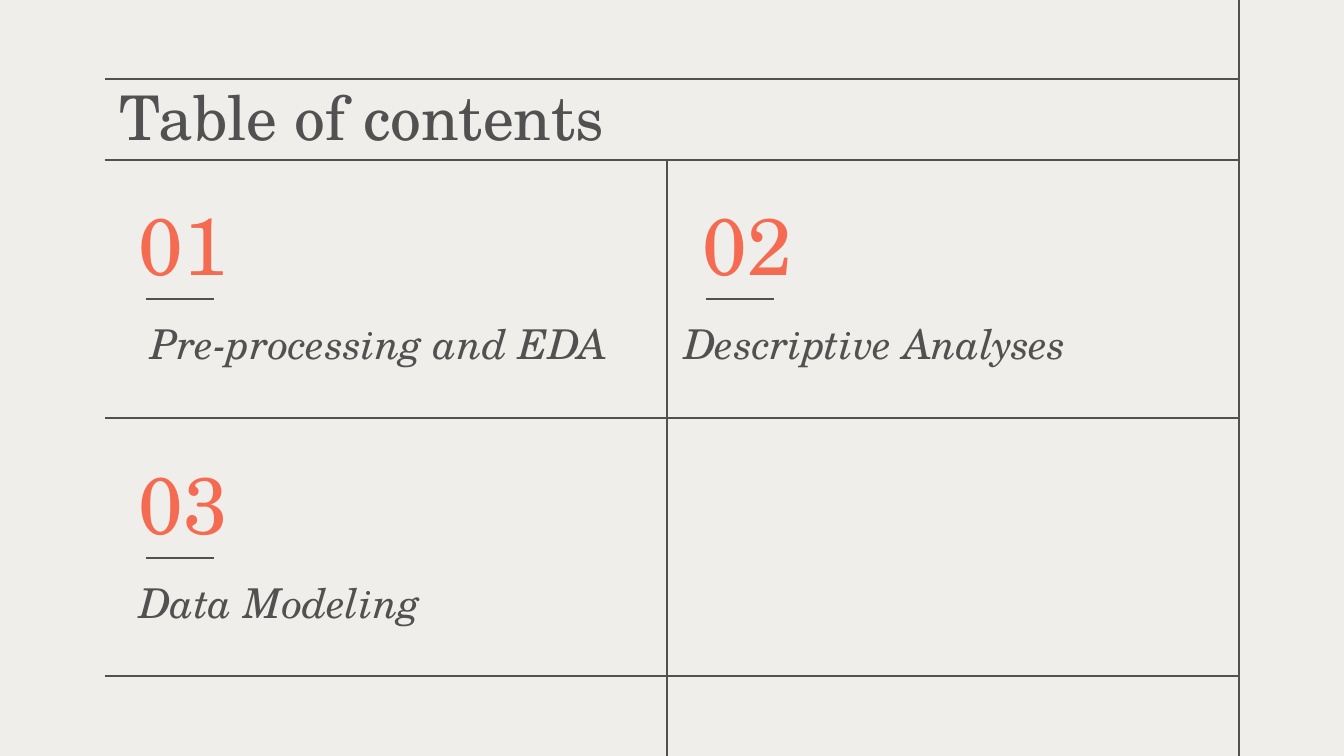
from pptx import Presentation
from pptx import util as u
from pptx.dml import color
from pptx.enum import shapes, text
from pptx.oxml import ns, xmlchemy

FONT = "TeX Gyre Schola"
INK, CORAL, PAPER = "525151", "F46B52", "F0EEEA"
LEFT, MIDDLE, RIGHT = 105, 667, 1239
ROW_STEP = 259
INSET = 13


def px(n):
    """Turn whole pixels into EMU."""
    return u.Emu(round(n * 914400 / 134.4))


def rgb(value):
    """Turn a hex string into a colour."""
    return color.RGBColor.from_string(value)


def write(sp, content, size, ink=INK, italic=False, anchor="MIDDLE", top=INSET):
    """Put one formatted, left-aligned paragraph into a shape."""
    tf = sp.text_frame
    tf.word_wrap = True
    tf.auto_size = text.MSO_AUTO_SIZE.NONE
    tf.vertical_anchor = text.MSO_ANCHOR[anchor]
    tf.margin_left = tf.margin_right = tf.margin_bottom = px(INSET)
    tf.margin_top = px(top)
    p = tf.paragraphs[0]
    p.alignment = text.PP_ALIGN.LEFT
    r = p.add_run()
    r.text = content
    f = r.font
    f.name, f.size, f.italic = FONT, u.Pt(size), italic
    f.color.rgb = rgb(ink)


def add_title(s, content, x, y, w, h):
    """Place and fill the title placeholder."""
    sp = s.shapes.title
    sp.left, sp.top, sp.width, sp.height = map(px, (x, y, w, h))
    write(sp, content, 33, anchor="TOP", top=0)


def add_text(s, content, x, y, w, h, **fmt):
    """Add a text box with formatted text."""
    write(s.shapes.add_textbox(*map(px, (x, y, w, h))), content, **fmt)


def add_line(s, x1, y1, x2, y2):
    """Add a thin rule without a shadow."""
    ln = s.shapes.add_connector(shapes.MSO_CONNECTOR.STRAIGHT, *map(px, (x1, y1, x2, y2)))
    ln.line.color.rgb = rgb(INK)
    ln.line.width = u.Pt(0.75)
    ln._element.spPr.append(xmlchemy.OxmlElement("a:effectLst"))


def add_entry(s, row, number, label, number_x, rule_x, label_x):
    """Add a number, its short rule and its label in one grid row."""
    y = row * ROW_STEP
    add_text(s, number, number_x, 208 + y, 187, 71, size=43, ink=CORAL)
    add_line(s, rule_x, 299 + y, rule_x + 68, 299 + y)
    add_text(s, label, label_x, 318 + y, 500, 63, size=22, italic=True, anchor="BOTTOM")


def main():
    """Build the contents slide and save it."""
    prs = Presentation()
    prs.slide_width, prs.slide_height = px(1344), px(756)
    s = prs.slides.add_slide(prs.slide_layouts[5])
    s.background.fill.solid()
    s.background.fill.fore_color.rgb = rgb(PAPER)

    add_line(s, RIGHT, 0, RIGHT, 756)
    add_line(s, MIDDLE, 160, MIDDLE, 756)
    for y in (79, 160, 418, 676):
        add_line(s, LEFT, y, RIGHT, y)

    add_title(s, "Table of contents", 106, 79, 1133, 71)
    for entry in (
        (0, "01", "Pre-processing and EDA", 126, 146, 137),
        (0, "02", "Descriptive Analyses", 690, 706, 671),
        (1, "03", "Data Modeling", 126, 146, 126),
    ):
        add_entry(s, *entry)
    prs.save("out.pptx")


if __name__ == "__main__":
    main()
